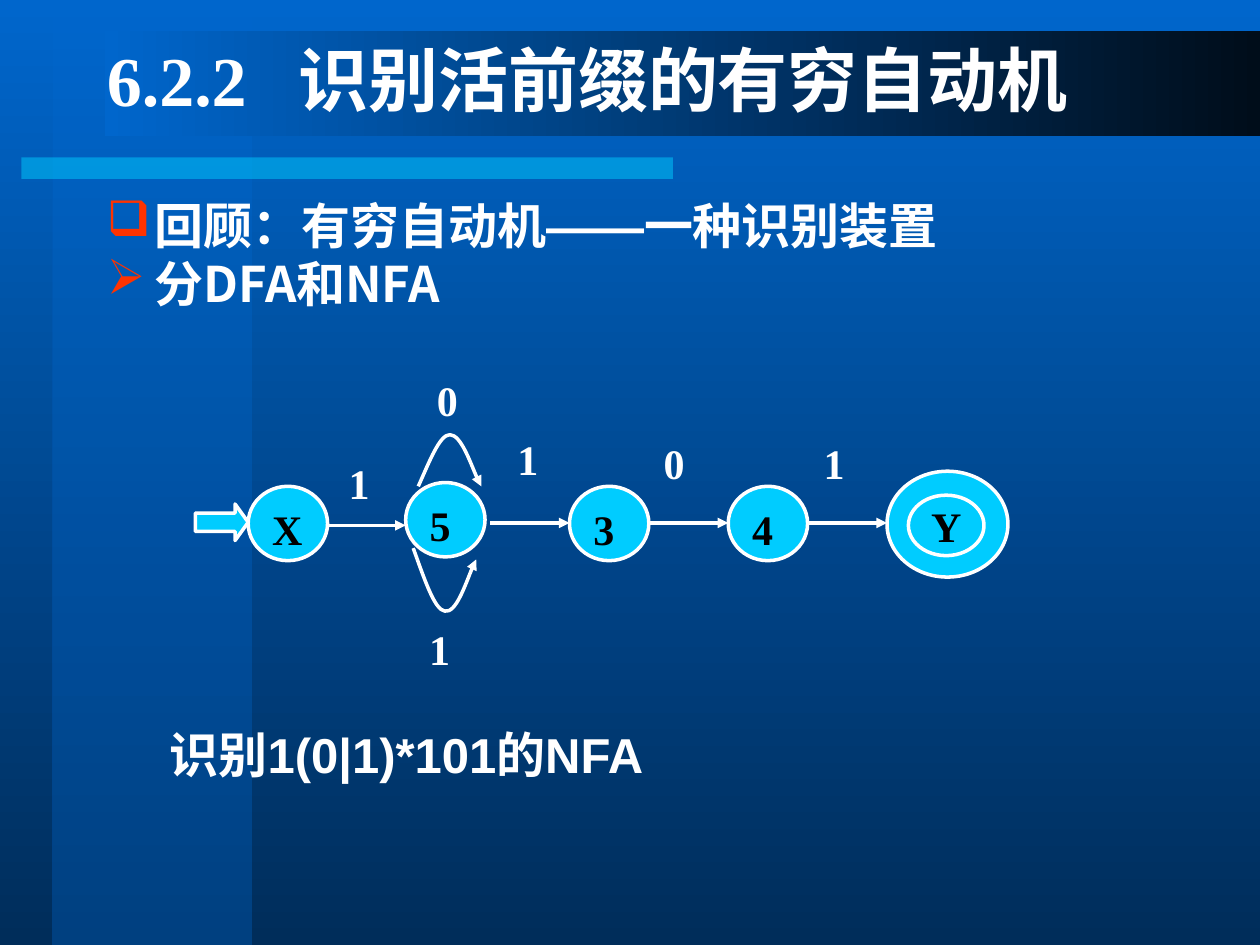
from lxml import etree
from pptx import Presentation
from pptx.dml.color import RGBColor
from pptx.enum.shapes import MSO_CONNECTOR, MSO_SHAPE
from pptx.enum.text import MSO_ANCHOR, PP_ALIGN
from pptx.oxml.ns import qn
from pptx.util import Inches, Pt

WHITE = RGBColor(0xFF, 0xFF, 0xFF)
BLACK = RGBColor(0x00, 0x00, 0x00)
BLUE = RGBColor(0x00, 0x66, 0xCC)
MID_BLUE = RGBColor(0x00, 0x53, 0xA6)
NAVY = RGBColor(0x00, 0x2D, 0x5A)
NIGHT = RGBColor(0x00, 0x0D, 0x1A)
CYAN = RGBColor(0x00, 0xCC, 0xFF)
RED = RGBColor(0xFF, 0x33, 0x00)

SERIF, SANS, CJK = "Times New Roman", "Arial", "Noto Sans CJK SC"
LINE_WIDTH = Pt(2)
DOWN, RIGHT = 270, 0


class AutomatonSlide:
    def __init__(self, presentation):
        self.slide = presentation.slides.add_slide(presentation.slide_layouts[6])
        self.shapes = self.slide.shapes

    def gradient(self, fill, start, end, angle):
        fill.gradient()
        fill.gradient_angle = angle
        for stop, color in zip(fill.gradient_stops, (start, end)):
            stop.color.rgb = color

    def half_transparent(self, shape):
        for color in shape._element.spPr.iter(qn("a:srgbClr")):
            etree.SubElement(color, qn("a:alpha"), val="50000")

    def band(self, left, top, width, height):
        band = self.shapes.add_shape(MSO_SHAPE.RECTANGLE, Inches(left), Inches(top),
                                     Inches(width), Inches(height))
        band.shadow.inherit = False
        band.line.fill.background()
        return band

    def outlined(self, preset, left, top, width, height):
        shape = self.shapes.add_shape(preset, Inches(left), Inches(top),
                                      Inches(width), Inches(height))
        shape.shadow.inherit = False
        shape.fill.solid()
        shape.fill.fore_color.rgb = CYAN
        shape.line.color.rgb = WHITE
        shape.line.width = LINE_WIDTH
        return shape

    def style_run(self, run, size, font, color, east_asian=CJK):
        run.font.size, run.font.bold, run.font.name = Pt(size), True, font
        run.font.color.rgb = color
        etree.SubElement(run._r.get_or_add_rPr(), qn("a:ea"), typeface=east_asian)

    def state(self, name, left, top, width=0.63, height=0.59, align=PP_ALIGN.LEFT,
              anchor=MSO_ANCHOR.TOP, wrap=True):
        circle = self.outlined(MSO_SHAPE.OVAL, left, top, width, height)
        frame = circle.text_frame
        frame.text = name
        frame.word_wrap, frame.vertical_anchor = wrap, anchor
        frame.paragraphs[0].alignment = align
        for run in frame.paragraphs[0].runs:
            self.style_run(run, 24, SERIF, BLACK)

    def text_box(self, left, top, width, height, anchor=MSO_ANCHOR.TOP):
        frame = self.shapes.add_textbox(Inches(left), Inches(top), Inches(width),
                                        Inches(height)).text_frame
        frame.word_wrap, frame.vertical_anchor = True, anchor
        return frame

    def text(self, frame, text, size, font):
        paragraph = frame.paragraphs[0]
        paragraph.text = text
        self.style_run(paragraph.runs[0], size, font, WHITE)
        return paragraph

    def label(self, symbol, center, top):
        frame = self.text_box(center - 0.63, top, 1.26, 0.44)
        self.text(frame, symbol, 24, SERIF).alignment = PP_ALIGN.CENTER

    def bullet(self, paragraph, mark, parts):
        properties = paragraph._p.get_or_add_pPr()
        properties.set("marL", str(Inches(0.38)))
        properties.set("indent", str(-Inches(0.38)))
        color = etree.SubElement(properties, qn("a:buClr"))
        etree.SubElement(color, qn("a:srgbClr"), val=str(RED))
        etree.SubElement(properties, qn("a:buChar"), char=mark)
        for words, font in parts:
            run = paragraph.add_run()
            run.text = words
            self.style_run(run, 28, font, WHITE, font)

    def arrowhead(self, line):
        line.line.color.rgb = WHITE
        line.line.width = LINE_WIDTH
        etree.SubElement(line.line._get_or_add_ln(), qn("a:tailEnd"), type="triangle")

    def arrow(self, start, end, y):
        arrow = self.shapes.add_connector(MSO_CONNECTOR.STRAIGHT, Inches(start), Inches(y),
                                          Inches(end), Inches(y))
        self.arrowhead(arrow)
        etree.SubElement(arrow._element.spPr, qn("a:effectLst"))

    def loop(self, start, *points):
        """Draw a curve; every three points are two controls and an end."""
        builder = self.shapes.build_freeform(Inches(start[0]), Inches(start[1]))
        builder.add_line_segments([(Inches(x), Inches(y)) for x, y in points], close=False)
        curve = builder.convert_to_shape()
        curve.shadow.inherit = False
        curve.fill.background()
        self.arrowhead(curve)
        path = next(curve._element.iter(qn("a:path")))
        segments = path.findall(qn("a:lnTo"))
        for first in range(0, len(segments), 3):
            bezier = etree.SubElement(path, qn("a:cubicBezTo"))
            for segment in segments[first:first + 3]:
                bezier.append(segment[0])
                path.remove(segment)


def main():
    presentation = Presentation()
    presentation.slide_width, presentation.slide_height = Inches(10), Inches(7.5)
    page = AutomatonSlide(presentation)

    # Background and bands
    page.gradient(page.slide.background.fill, BLUE, NAVY, DOWN)
    side_panel = page.band(0.42, 0, 1.58, 7.5)
    page.gradient(side_panel.fill, BLUE, MID_BLUE, DOWN)
    page.half_transparent(side_panel)
    rule = page.band(0.17, 1.25, 5.17, 0.17)
    rule.fill.solid()
    rule.fill.fore_color.rgb = CYAN
    page.half_transparent(rule)
    page.gradient(page.band(0.83, 0.25, 9.17, 0.83).fill, BLUE, NIGHT, RIGHT)

    # Title, with a tab between number and name
    title = page.text_box(0.75, 0.25, 8.5, 0.75, MSO_ANCHOR.MIDDLE)
    heading = page.text(title, "6.2.2\t识别活前缀的有穷自动机", 40, SERIF)
    tabs = etree.SubElement(heading._p.get_or_add_pPr(), qn("a:tabLst"))
    etree.SubElement(tabs, qn("a:tab"), pos=str(Inches(1.52)), algn="l")

    # Review points
    review = page.text_box(0.75, 1.58, 8.5, 1.17)
    page.bullet(review.paragraphs[0], "❑",
                [("回顾：有穷自动机", CJK), ("——", SANS), ("一种识别装置", CJK)])
    kinds = review.add_paragraph()
    page.bullet(kinds, "➢", [("分DFA和NFA", CJK)])
    kinds.space_before = Pt(5.6)
    for point in review.paragraphs:
        point.line_spacing = 0.83

    # States
    page.outlined(MSO_SHAPE.RIGHT_ARROW, 1.55, 4, 0.42, 0.29).adjustments[1] = 0.36
    for name, left, top in (("X", 1.97, 3.86), ("5", 3.22, 3.83),
                            ("3", 4.52, 3.86), ("4", 5.78, 3.86)):
        page.state(name, left, top)
    page.outlined(MSO_SHAPE.OVAL, 7.04, 3.74, 0.96, 0.84)
    page.state("Y", 7.21, 3.93, 0.6, 0.48, PP_ALIGN.CENTER, MSO_ANCHOR.MIDDLE, False)

    # Transitions
    page.arrow(2.59, 3.22, 4.17)
    for start in (3.89, 5.15, 6.41):
        page.arrow(start, start + 0.63, 4.15)
    page.loop((3.32, 3.86), (3.41, 3.66), (3.49, 3.45), (3.57, 3.45),
              (3.66, 3.45), (3.78, 3.8), (3.82, 3.86))
    page.loop((3.28, 4.35), (3.37, 4.6), (3.45, 4.84), (3.53, 4.85),
              (3.62, 4.87), (3.74, 4.51), (3.78, 4.44))
    for symbol, center, top in (("0", 3.55, 2.92), ("1", 2.85, 3.58), ("1", 4.19, 3.39),
                                ("0", 5.35, 3.42), ("1", 6.62, 3.42), ("1", 3.49, 4.9)):
        page.label(symbol, center, top)

    # Caption
    caption = page.text_box(1.25, 5.75, 4, 0.52)
    page.text(caption, "识别1(0|1)*101的NFA", 28, SANS).line_spacing = 0.9

    presentation.save("out.pptx")


if __name__ == "__main__":
    main()
